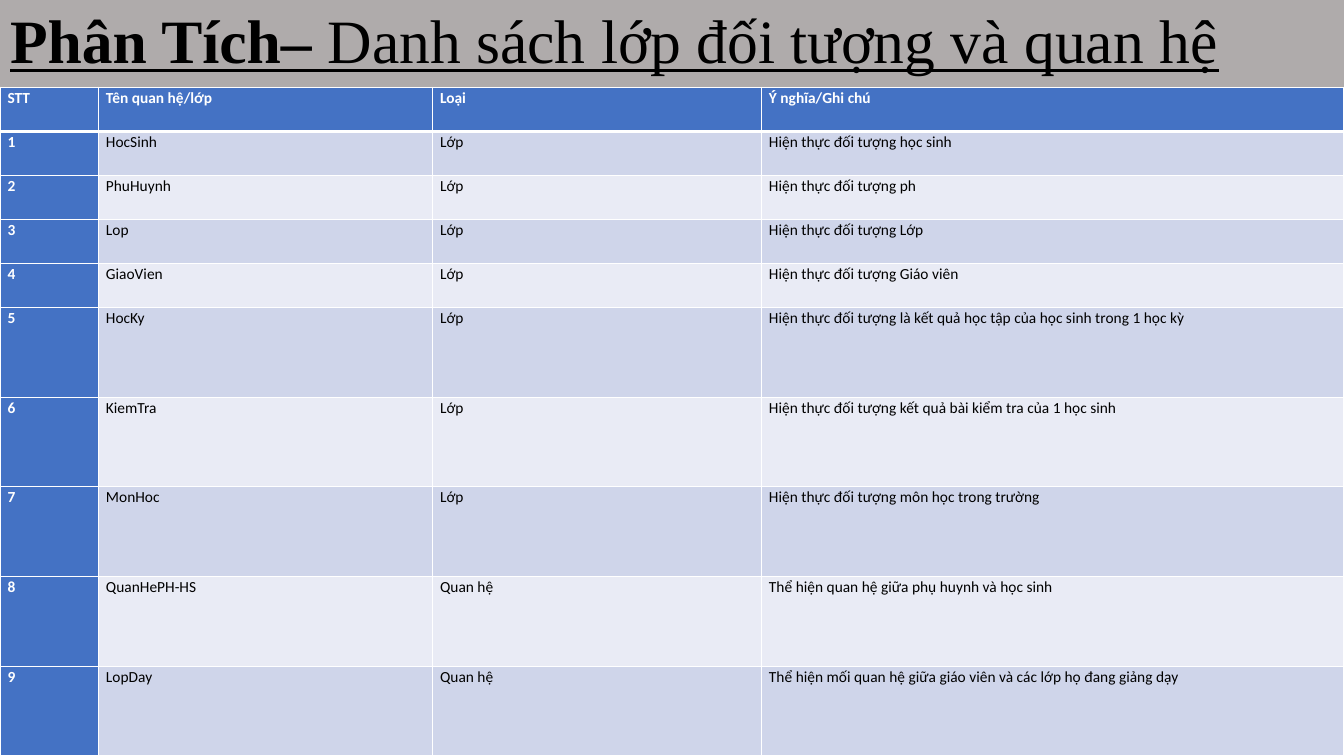
import pptx
import pptx.dml.color
import pptx.enum.text
import pptx.oxml
import pptx.oxml.ns
import pptx.util

Cm = pptx.util.Cm
Pt = pptx.util.Pt
RGBColor = pptx.dml.color.RGBColor

BLACK = RGBColor(0x00, 0x00, 0x00)
WHITE = RGBColor(0xFF, 0xFF, 0xFF)
TITLE_GREY = RGBColor(0xAF, 0xAB, 0xAB)
HEADER_BLUE = RGBColor(0x44, 0x72, 0xC4)
BANDS = (RGBColor(0xE9, 0xEB, 0xF5), RGBColor(0xCF, 0xD5, 0xEA))

SLIDE_WIDTH, SLIDE_HEIGHT = Cm(33.87), Cm(19.05)
TITLE_HEIGHT = Cm(2.2)
COLUMN_WIDTHS = (Cm(2.48), Cm(8.42), Cm(8.29), Cm(14.68))
ROW_HEIGHTS = (Cm(1.11),) * 5 + (Cm(2.26),) * 5

HEADINGS = ("STT", "Tên quan hệ/lớp", "Loại", "Ý nghĩa/Ghi chú")
ENTITIES = (
    ("HocSinh", "Lớp", "Hiện thực đối tượng học sinh"),
    ("PhuHuynh", "Lớp", "Hiện thực đối tượng ph"),
    ("Lop", "Lớp", "Hiện thực đối tượng Lớp"),
    ("GiaoVien", "Lớp", "Hiện thực đối tượng Giáo viên"),
    ("HocKy", "Lớp", "Hiện thực đối tượng là kết quả học tập của học sinh trong 1 học kỳ"),
    ("KiemTra", "Lớp", "Hiện thực đối tượng kết quả bài kiểm tra của 1 học sinh"),
    ("MonHoc", "Lớp", "Hiện thực đối tượng môn học trong trường"),
    ("QuanHePH-HS", "Quan hệ", "Thể hiện quan hệ giữa phụ huynh và học sinh"),
    ("LopDay", "Quan hệ", "Thể hiện mối quan hệ giữa giáo viên và các lớp họ đang giảng dạy"),
)


def fill_title(title):
    """Place the grey title bar and write its bold and regular parts."""
    title.left, title.top = Cm(0), Cm(0)
    title.width, title.height = SLIDE_WIDTH, TITLE_HEIGHT
    title.fill.solid()
    title.fill.fore_color.rgb = TITLE_GREY
    frame = title.text_frame
    frame.word_wrap = True
    frame.auto_size = pptx.enum.text.MSO_AUTO_SIZE.NONE
    frame.vertical_anchor = pptx.enum.text.MSO_ANCHOR.MIDDLE
    heading = frame.paragraphs[0]
    heading.alignment = pptx.enum.text.PP_ALIGN.LEFT
    heading.line_spacing = 0.9
    for words, bold in (("Phân Tích– ", True), ("Danh sách lớp đối tượng và quan hệ", False)):
        part = heading.add_run()
        part.text = words
        part.font.name = "Times New Roman"
        part.font.size = Pt(44)
        part.font.color.rgb = BLACK
        part.font.underline = True
        part.font.bold = bold


def set_borders(cell, top, bottom):
    """Draw white cell borders with the given top and bottom widths."""
    properties = cell._tc.get_or_add_tcPr()
    for side, width in (("L", Pt(1)), ("R", Pt(1)), ("T", top), ("B", bottom)):
        properties.append(pptx.oxml.parse_xml(
            f'<a:ln{side} {pptx.oxml.ns.nsdecls("a")} w="{width}"><a:solidFill>'
            f'<a:srgbClr val="{WHITE}"/></a:solidFill></a:ln{side}>'))


def fill_cell(cell, words, row, column):
    """Write one cell, styled by its place in the table."""
    is_heading = row == 0 or column == 0
    set_borders(cell, Pt(3 if row == 1 else 1), Pt(3 if row == 0 else 1))
    cell.fill.solid()
    cell.fill.fore_color.rgb = HEADER_BLUE if is_heading else BANDS[row % 2]
    cell.margin_left = cell.margin_right = Cm(0.19)
    cell.margin_top = cell.margin_bottom = Cm(0)
    cell.text = words
    entry = cell.text_frame.paragraphs[0]
    entry.line_spacing = 1.07
    entry.font.name = "Calibri"
    entry.font.size = Pt(11)
    entry.font.bold = is_heading
    entry.font.color.rgb = WHITE if is_heading else BLACK


def add_entity_table(slide):
    """Add the numbered table of classes and relations."""
    records = [HEADINGS] + [(str(number), *entity) for number, entity in enumerate(ENTITIES, 1)]
    table = slide.shapes.add_table(
        len(records), len(HEADINGS), Cm(0), TITLE_HEIGHT, SLIDE_WIDTH, sum(ROW_HEIGHTS)).table
    table.first_col = True
    for column, width in zip(table.columns, COLUMN_WIDTHS):
        column.width = width
    for row, height in zip(table.rows, ROW_HEIGHTS):
        row.height = height
    for row, record in enumerate(records):
        for column, words in enumerate(record):
            fill_cell(table.cell(row, column), words, row, column)


def main():
    """Build the slide and save it."""
    presentation = pptx.Presentation()
    presentation.slide_width, presentation.slide_height = SLIDE_WIDTH, SLIDE_HEIGHT
    slide = presentation.slides.add_slide(presentation.slide_layouts[5])
    fill_title(slide.shapes.title)
    add_entity_table(slide)
    presentation.save("out.pptx")


if __name__ == "__main__":
    main()
